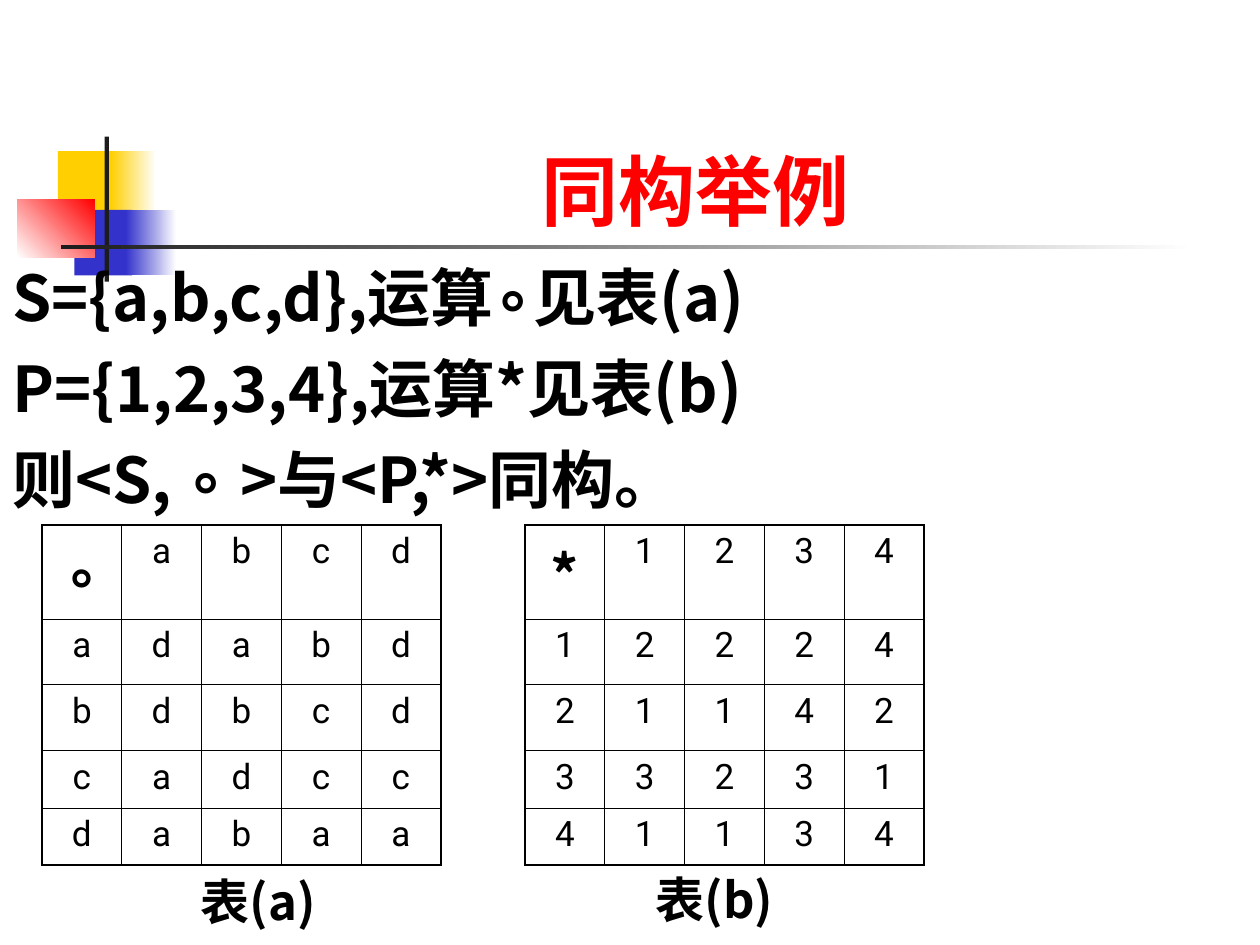
from dataclasses import dataclass
from typing import Optional

from lxml import etree
from pptx import Presentation
from pptx import util as u
from pptx.dml.color import RGBColor
from pptx.enum import shapes, text
from pptx.oxml.ns import qn

# The slide is a grid of 100 columns by 75 rows
COLUMNS, ROWS = 100, 75
WIDTH, HEIGHT = u.Inches(10), u.Inches(7.5)

BLACK = RGBColor(0, 0, 0)
WHITE = RGBColor(0xFF, 0xFF, 0xFF)
RED = RGBColor(0xFF, 0, 0)
YELLOW = RGBColor(0xFF, 0xCF, 0x01)
BLUE = RGBColor(0x33, 0x33, 0xCC)
CHARCOAL = RGBColor(0x1C, 0x1C, 0x1C)

LATIN, CJK = "Roboto", "Noto Sans CJK JP"
OUTER, INNER = u.Pt(1.08), u.Pt(0.45)


@dataclass(frozen=True)
class Area:
    column: float
    row: float
    columns: float
    rows: float

    def lengths(self) -> tuple:
        return (across(self.column), down(self.row),
                across(self.columns), down(self.rows))


@dataclass(frozen=True)
class Block:
    area: Area
    color: RGBColor
    fade_to: Optional[RGBColor] = None
    angle: float = 0


@dataclass(frozen=True)
class Style:
    size: float
    font: str
    color: RGBColor = BLACK
    bold: bool = True


@dataclass(frozen=True)
class Operation:
    area: Area
    symbol: str
    elements: str
    results: tuple
    caption: str
    caption_area: Area


TITLE = Style(44, LATIN, RED)
BODY = Style(36, CJK)
SYMBOL = Style(32, CJK)
ENTRY = Style(20, LATIN, bold=False)
CAPTION = Style(28, CJK)

ORNAMENT = (
    Block(Area(4.6, 12, 4.8, 5.2), YELLOW),
    Block(Area(8.8, 12, 3.6, 5.2), YELLOW, WHITE),
    Block(Area(5.9, 16.65, 4.6, 5.2), BLUE),
    Block(Area(10, 16.65, 4, 5.2), BLUE, WHITE),
    Block(Area(1.4, 15.8, 6.1, 4.65), WHITE, RED, 45),
    Block(Area(8.3, 10.85, 0.35, 11.5), CHARCOAL),
    Block(Area(4.85, 19.45, 90, 0.35), CHARCOAL, WHITE),
)

STATEMENTS = (
    "S={a,b,c,d},运算∘见表(a)",
    "P={1,2,3,4},运算*见表(b)",
    "则<S, ∘ >与<P,*>同构。",
)

ROW_HEIGHTS = (7.46, 5.2, 5.25, 4.55, 4.55)
OPERATIONS = (
    Operation(Area(3.33, 41.67, 31.67, 27), "∘", "abcd",
              ("dabd", "dbcd", "adcc", "abaa"),
              "表(a)", Area(10.5, 69.4, 20, 4.2)),
    Operation(Area(41.67, 41.67, 31.67, 27), "*", "1234",
              ("2224", "1142", "3231", "1134"),
              "表(b)", Area(46.7, 69.2, 20, 4.2)),
)


def across(columns: float) -> int:
    return round(WIDTH * columns / COLUMNS)


def down(rows: float) -> int:
    return round(HEIGHT * rows / ROWS)


def set_style(paragraph, style: Style) -> None:
    font = paragraph.font
    font.size, font.bold, font.name = u.Pt(style.size), style.bold, style.font
    font.color.rgb = style.color
    # East Asian characters take their own typeface element
    defaults = paragraph._p.pPr.find(qn("a:defRPr"))
    etree.SubElement(defaults, qn("a:ea"), typeface=style.font)


def draw_block(slide, block: Block) -> None:
    shape = slide.shapes.add_shape(shapes.MSO_SHAPE.RECTANGLE, *block.area.lengths())
    shape.shadow.inherit = False
    shape.line.fill.background()
    if block.fade_to is None:
        shape.fill.solid()
        shape.fill.fore_color.rgb = block.color
        return
    shape.fill.gradient()
    shape.fill.gradient_angle = block.angle
    for stop, color in zip(shape.fill.gradient_stops, (block.color, block.fade_to)):
        stop.color.rgb = color


def draw_text(slide, area: Area, lines: tuple, style: Style,
              anchor=text.MSO_ANCHOR.TOP, align=text.PP_ALIGN.CENTER,
              wrap: bool = True) -> list:
    frame = slide.shapes.add_textbox(*area.lengths()).text_frame
    frame.word_wrap, frame.vertical_anchor = wrap, anchor
    frame.text = "\n".join(lines)
    for paragraph in frame.paragraphs:
        paragraph.alignment = align
        set_style(paragraph, style)
    return list(frame.paragraphs)


def draw_statements(slide) -> None:
    paragraphs = draw_text(slide, Area(0, 20, 97.9, 23.8), STATEMENTS, BODY,
                           align=text.PP_ALIGN.LEFT)
    hang = across(3.8)
    for number, paragraph in enumerate(paragraphs):
        if number:
            paragraph.space_before = u.Pt(9)
        paragraph._p.pPr.set("marL", str(hang))
        paragraph._p.pPr.set("indent", str(-hang))


def set_border(cell, side: str, width: int) -> None:
    line = etree.SubElement(cell._tc.get_or_add_tcPr(), qn(f"a:{side}"), w=str(width))
    fill = etree.SubElement(line, qn("a:solidFill"))
    etree.SubElement(fill, qn("a:srgbClr"), val=str(BLACK))


def draw_operation(slide, operation: Operation) -> None:
    entries = [operation.symbol + operation.elements]
    entries += [e + r for e, r in zip(operation.elements, operation.results)]
    last = len(entries) - 1
    table = slide.shapes.add_table(last + 1, last + 1, *operation.area.lengths()).table
    table.first_row = table.horz_banding = False
    for column in table.columns:
        column.width = across(operation.area.columns / (last + 1))
    for i, row in enumerate(entries):
        table.rows[i].height = down(ROW_HEIGHTS[i])
        for j, entry in enumerate(row):
            cell = table.cell(i, j)
            cell.text = entry
            paragraph = cell.text_frame.paragraphs[0]
            paragraph.alignment = text.PP_ALIGN.CENTER
            set_style(paragraph, ENTRY if i or j else SYMBOL)
            # Heavier lines around the outside, then the fill
            edges = {"lnL": j == 0, "lnR": j == last, "lnT": i == 0, "lnB": i == last}
            for side, outside in edges.items():
                set_border(cell, side, OUTER if outside else INNER)
            cell.fill.background()
    draw_text(slide, operation.caption_area, (operation.caption,), CAPTION,
              text.MSO_ANCHOR.MIDDLE, wrap=False)


def main() -> None:
    deck = Presentation()
    deck.slide_width, deck.slide_height = WIDTH, HEIGHT
    slide = deck.slides.add_slide(deck.slide_layouts[6])
    for block in ORNAMENT:
        draw_block(slide, block)
    draw_text(slide, Area(12.6, 6.7, 85.2, 12.5), ("同构举例",), TITLE,
              text.MSO_ANCHOR.BOTTOM)
    draw_statements(slide)
    for operation in OPERATIONS:
        draw_operation(slide, operation)
    deck.save("out.pptx")


if __name__ == "__main__":
    main()
